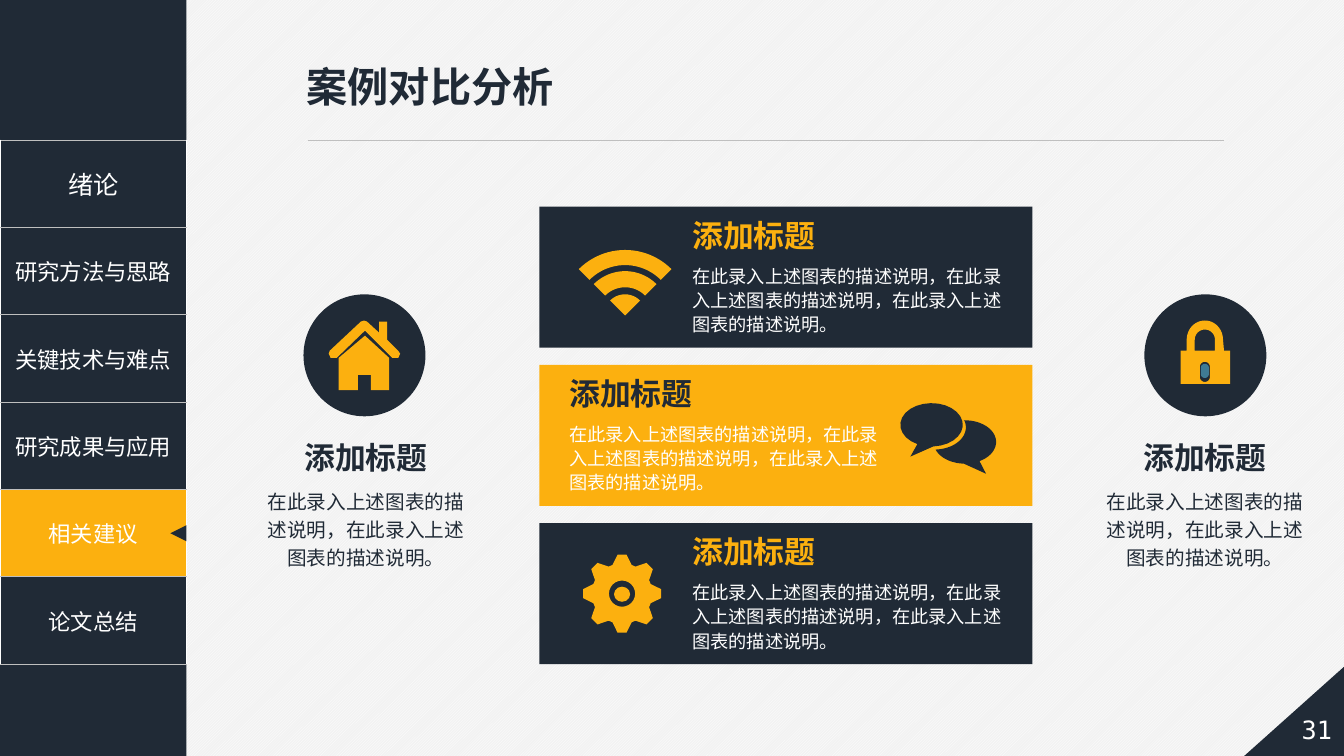
"""Build a slide that compares cases, with a side menu, two badges and three cards."""
import math
from dataclasses import dataclass

import lxml.etree
import pptx
import pptx.dml.color
import pptx.enum.dml
import pptx.enum.shapes
import pptx.enum.text
import pptx.oxml.ns
import pptx.util

Inches, Pt, qn = pptx.util.Inches, pptx.util.Pt, pptx.oxml.ns.qn
Shape = pptx.enum.shapes.MSO_SHAPE
Align = pptx.enum.text.PP_ALIGN
Anchor = pptx.enum.text.MSO_ANCHOR
Point = tuple[float, float]
COLORS = {"navy": "202A36", "gold": "FCB00F", "white": "FFFFFF",
          "pale": "F2F2F2", "gray": "BFBFBF", "blue": "5ECCF3"}
SANS = "Noto Sans CJK SC"
HEAD = "添加标题"
NOTE = "在此录入上述图表的描述说明"
MENU = ["绪论", "研究方法与思路", "关键技术与难点", "研究成果与应用", "相关建议", "论文总结"]


@dataclass
class Style:
    """Text look."""
    size: float
    color: str
    bold: bool = False
    align: Align = Align.LEFT
    space: float = 1.0
    face: str = SANS


@dataclass
class Card:
    """Wide box with a text column."""
    fill: str
    head: str
    left: float


@dataclass
class Badge:
    """Round icon base with centred text below."""
    left: float
    mid: float


@dataclass
class Icon:
    """Filled outline made of closed rings."""
    color: str
    rings: list[list[Point]]


def rgb(name: str) -> pptx.dml.color.RGBColor:
    """Look up a colour."""
    return pptx.dml.color.RGBColor.from_string(COLORS[name])


def paint(shape, color: str) -> None:
    """Give a shape a flat fill."""
    shape.shadow.inherit = False
    shape.fill.solid()
    shape.fill.fore_color.rgb = rgb(color)
    shape.line.fill.background()


def block(slide, kind: Shape, box: tuple, color: str):
    """Add a filled preset shape."""
    shape = slide.shapes.add_shape(kind, *map(Inches, box))
    paint(shape, color)
    return shape


def write(frame, text: str, style: Style) -> None:
    """Put one styled paragraph in a text frame."""
    para = frame.paragraphs[0]
    para.text = text
    para.alignment = style.align
    para.line_spacing = style.space
    font = para.font
    font.size, font.bold, font.name = Pt(style.size), style.bold, style.face
    font.color.rgb = rgb(style.color)
    asian = lxml.etree.SubElement(font._rPr, qn("a:ea"))
    asian.set("typeface", SANS)


def label(slide, box: tuple, text: str, style: Style):
    """Add a wrapped text box."""
    frame = slide.shapes.add_textbox(*map(Inches, box)).text_frame
    frame.word_wrap = True
    write(frame, text, style)
    return frame


def arc(x: float, y: float, wide: float, high: float, start: float, end: float) -> list[Point]:
    """Sample an elliptic arc, with angles in degrees, clockwise from the right."""
    turns = [math.radians(start + (end - start) * i / 24) for i in range(25)]
    return [(x + wide * math.cos(t), y + high * math.sin(t)) for t in turns]


def slot(x: float, top: float, base: float, rad: float) -> list[Point]:
    """Trace an upright slot with round ends."""
    return arc(x, top + rad, rad, rad, 0, -180) + arc(x, base - rad, rad, rad, 180, 0)


def fan(low: float, high: float) -> list[Point]:
    """Trace one signal wave."""
    return arc(6.2, 3.13, high, high, -135, -45) + arc(6.2, 3.13, low, low, -45, -135)


def gear() -> list[Point]:
    """Trace eight teeth."""
    tooth = [(-18.5, 0.3), (-6.5, 0.39), (6.5, 0.39), (18.5, 0.3)]
    return [(6.17 + rad * math.cos(math.radians(45 * i + turn)),
             5.89 + rad * math.sin(math.radians(45 * i + turn)))
            for i in range(8) for turn, rad in tooth]


def draw(slide, icon: Icon):
    """Add an icon as a freeform."""
    pen = None
    for ring in icon.rings:
        first, *rest = [(Inches(x), Inches(y)) for x, y in ring]
        if pen is None:
            pen = slide.shapes.build_freeform(*first)
        else:
            pen.move_to(*first)
        pen.add_line_segments(rest, close=True)
    shape = pen.convert_to_shape()
    paint(shape, icon.color)
    return shape


def menu(slide) -> None:
    """Add the side menu."""
    block(slide, Shape.RECTANGLE, (0, 0, 1.85, 7.5), "navy")
    table = slide.shapes.add_table(len(MENU), 1, 0, Inches(1.39), Inches(1.85), Inches(5.2)).table
    table.first_row = table.horz_banding = False
    for i, text in enumerate(MENU):
        cell = table.cell(i, 0)
        cell.vertical_anchor = Anchor.MIDDLE
        if text == "相关建议":
            cell.fill.solid()
            cell.fill.fore_color.rgb = rgb("gold")
        else:
            cell.fill.background()
        write(cell.text_frame, text, Style(16 if i else 18, "white", align=Align.CENTER))
        for rank, side in enumerate(("a:lnT", "a:lnB")):
            edge = lxml.etree.Element(qn(side), w=str(Pt(1)))
            fill = lxml.etree.SubElement(edge, qn("a:solidFill"))
            lxml.etree.SubElement(fill, qn("a:srgbClr"), val=COLORS["gray"])
            cell._tc.get_or_add_tcPr().insert(rank, edge)
    block(slide, Shape.ISOSCELES_TRIANGLE, (1.69, 5.21, 0.16, 0.16), "navy").rotation = 270


def main() -> None:
    """Build and save the slide."""
    deck = pptx.Presentation()
    deck.slide_width, deck.slide_height = Inches(13.33), Inches(7.5)
    slide = deck.slides.add_slide(deck.slide_layouts[5])
    back = slide.background.fill
    back.patterned()
    back.pattern = pptx.enum.dml.MSO_PATTERN.LIGHT_UPWARD_DIAGONAL
    back.fore_color.rgb, back.back_color.rgb = rgb("white"), rgb("pale")

    title = slide.shapes.title
    title.left, title.top, title.width, title.height = map(Inches, (2.94, 0.56, 2.67, 0.59))
    title.text_frame.word_wrap = False
    title.text_frame.vertical_anchor = Anchor.MIDDLE
    write(title.text_frame, "案例对比分析", Style(29.4, "navy", True, face="Arial"))
    menu(slide)

    rule = slide.shapes.add_connector(pptx.enum.shapes.MSO_CONNECTOR.STRAIGHT,
                                      *map(Inches, (3.05, 1.39, 12.14, 1.39)))
    rule.line.color.rgb, rule.line.width = rgb("gray"), Pt(0.5)
    lxml.etree.SubElement(rule._element.spPr, qn("a:effectLst"))

    corner = block(slide, Shape.RIGHT_TRIANGLE, (12.33, 6.58, 1.04, 0.93), "navy")
    corner._element.spPr.find(qn("a:xfrm")).set("flipH", "1")
    page = label(slide, (12.79, 6.97, 0.54, 0.53), "31",
                 Style(18, "white", align=Align.CENTER, face="DejaVu Sans Mono"))
    page.margin_left = page.margin_right = 0
    page.vertical_anchor = Anchor.MIDDLE

    for badge in (Badge(3.01, 3.63), Badge(11.35, 11.95)):
        block(slide, Shape.OVAL, (badge.left, 2.92, 1.21, 1.21), "navy")
        label(slide, (badge.mid - 0.85, 4.3, 1.7, 0.47), HEAD,
              Style(22, "navy", True, Align.CENTER))
        label(slide, (badge.mid - 1.08, 4.76, 2.16, 0.95), "，".join([NOTE] * 2) + "。",
              Style(14, "navy", align=Align.CENTER, space=1.2))

    cards = [Card("navy", "gold", 6.77), Card("gold", "navy", 5.55), Card("navy", "gold", 6.77)]
    for i, card in enumerate(cards):
        top = 2.05 + 1.57 * i
        block(slide, Shape.RECTANGLE, (5.35, top, 4.89, 1.4), card.fill)
        label(slide, (card.left, top + 0.05, 1.7, 0.47), HEAD, Style(22, card.head, True))
        label(slide, (card.left, top + 0.51, 3.36, 0.82), "，".join([NOTE] * 3) + "。",
              Style(13, "white", space=1.1))

    walls = [(3.62, 3.33), (3.86, 3.55), (3.86, 3.87), (3.68, 3.87), (3.68, 3.72),
             (3.55, 3.72), (3.55, 3.87), (3.36, 3.87), (3.36, 3.55)]
    roof = [(3.61, 3.18), (3.64, 3.19), (3.76, 3.3), (3.76, 3.19), (3.84, 3.19), (3.84, 3.37),
            (3.95, 3.48), (3.97, 3.51), (3.95, 3.55), (3.89, 3.55), (3.62, 3.28), (3.34, 3.55),
            (3.28, 3.55), (3.26, 3.51), (3.27, 3.48), (3.58, 3.19)]
    lock = [(11.71, 3.81), (11.71, 3.48), (11.77, 3.48), *arc(11.95, 3.37, 0.18, 0.19, -180, 0),
            (12.14, 3.48), (12.2, 3.48), (12.2, 3.81)]
    bow = [(12.05, 3.48), *arc(11.95, 3.37, 0.1, 0.1, 0, -180), (11.85, 3.48)]
    near = [*arc(9.24, 4.215, 0.31, 0.215, -243, 87), (9.03, 4.53)]
    far = [*arc(9.57, 4.385, 0.31, 0.215, -92, 62), (9.78, 4.7),
           *arc(9.57, 4.385, 0.31, 0.215, 92, 159), *arc(9.27, 4.24, 0.31, 0.22, 86, -16)]
    icons = [Icon("gold", [walls, roof]), Icon("gold", [lock, bow, slot(11.95, 3.59, 3.79, 0.05)]),
             Icon("navy", [far]), Icon("navy", [near]),
             Icon("gold", [gear(), arc(6.17, 5.89, 0.13, 0.13, 360, 0)]),
             *(Icon("gold", [fan(*span)]) for span in ((0, 0.21), (0.28, 0.44), (0.5, 0.65)))]
    for icon in icons:
        draw(slide, icon)
    block(slide, Shape.OVAL, (6.09, 5.82, 0.16, 0.15), "gold")
    core = draw(slide, Icon("blue", [slot(11.95, 3.61, 3.75, 0.04)]))
    tint = core._element.spPr.find(qn("a:solidFill")).find(qn("a:srgbClr"))
    lxml.etree.SubElement(tint, qn("a:alpha"), val="50000")
    deck.save("out.pptx")


if __name__ == "__main__":
    main()
